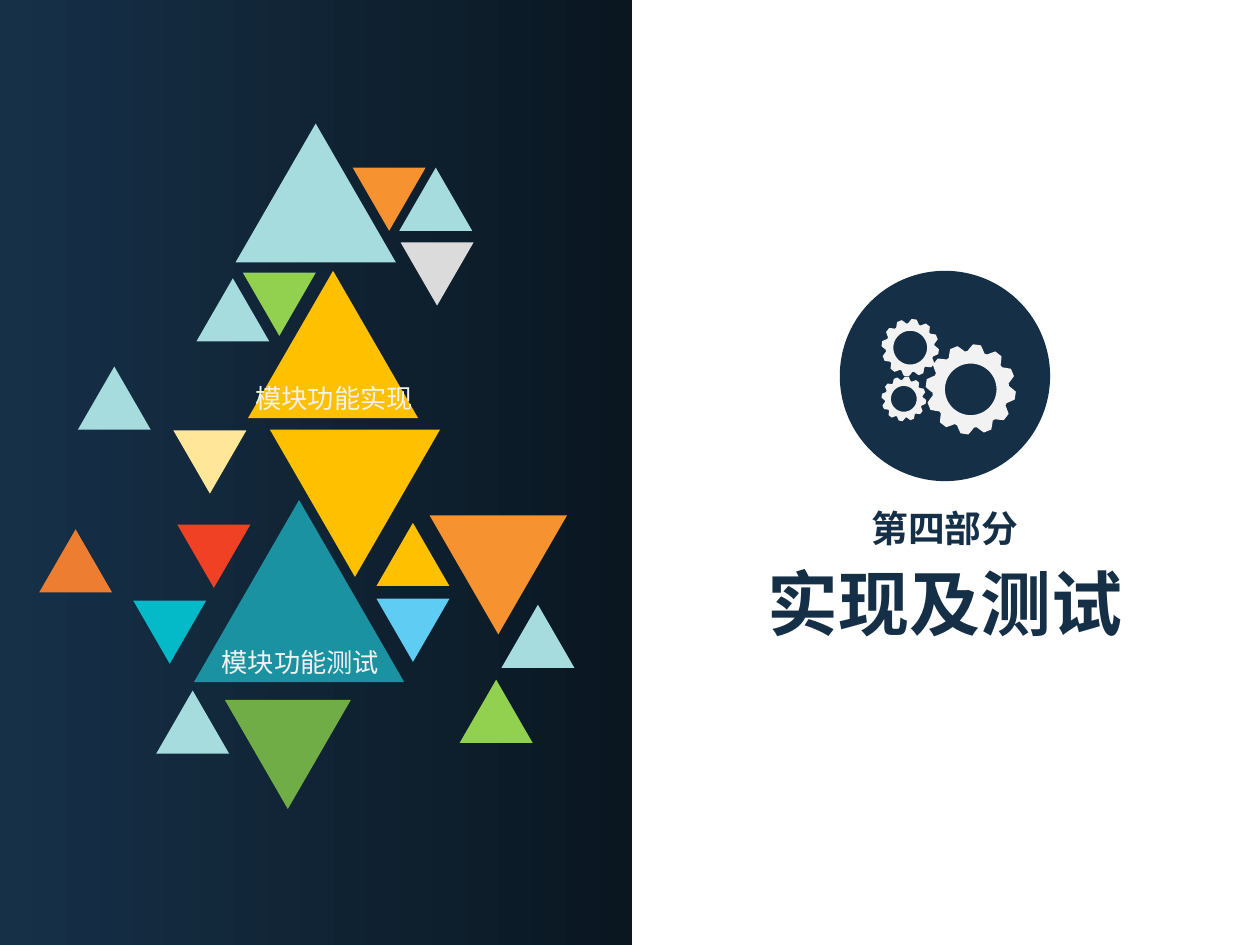
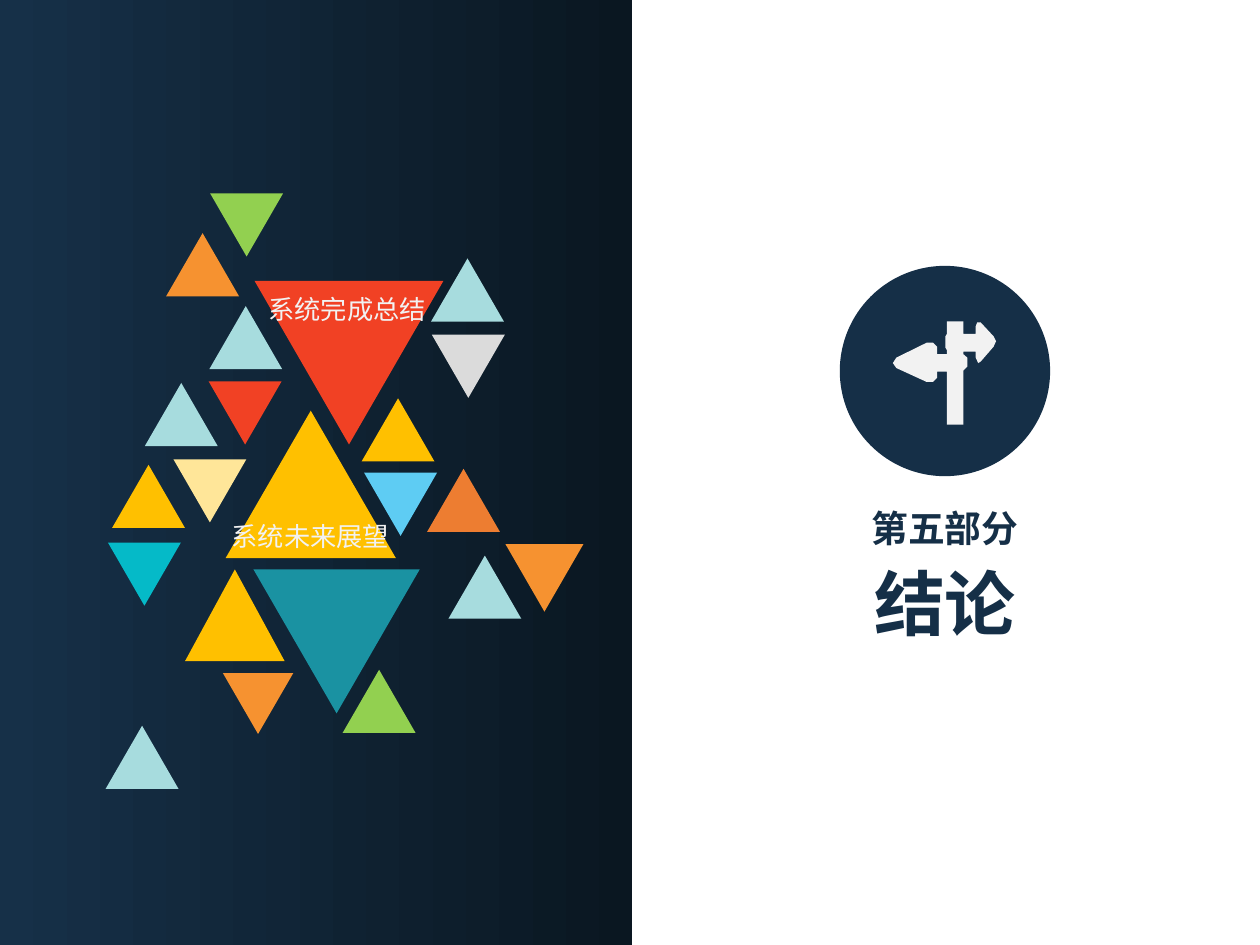
import math

import lxml.etree
import pptx
import pptx.dml.color
import pptx.enum.shapes
import pptx.enum.text
import pptx.oxml.ns
import pptx.util

Cm = pptx.util.Cm
Align = pptx.enum.text.PP_ALIGN
Shapes = pptx.enum.shapes.MSO_SHAPE

# Shared style
FONT = "Noto Sans CJK SC"
NAVY, NIGHT, DEEP = "152F47", "163048", "0A1721"
PALE, AQUA, TEAL, CYAN, SKY = "F2F2F2", "A7DCDE", "1A92A2", "05BAC8", "5ECCF3"
GOLD, CREAM, ORANGE, RUST, RED = "FFC000", "FFE699", "F69230", "ED7D31", "F14124"
LIME, GREEN, SILVER = "92D050", "70AD47", "DBDBDB"

# Boxes in cm: left, top, width, height
PANEL = (0, 0, 12.75, 19.05)
HEADING = (12.75, 0, 12.6, 19.05)
BADGE_SIZE = 4.24

# Triangle geometry
SMALL = 1.47
UP, DOWN, TILT_DOWN, TILT_UP = 0, 180, 60, 120

# Triangles: left, top, turn, colour, then side and height where they differ
TEST_TRIANGLES = [
    (1.57, 7.39, UP, AQUA), (8.05, 3.38, UP, AQUA),
    (3.68, 8.36, TILT_DOWN, CREAM), (5.44, 8.66, DOWN, GOLD, 3.43),
    (3.91, 10.08, UP, TEAL, 4.24), (3.15, 13.92, UP, AQUA),
    (0.79, 10.67, UP, RUST), (3.96, 5.61, UP, AQUA),
    (5.08, 5.18, TILT_DOWN, LIME), (8.26, 4.57, TILT_DOWN, SILVER),
    (2.87, 11.79, TILT_DOWN, CYAN), (8.66, 10.39, DOWN, ORANGE, 2.77),
    (7.59, 10.54, UP, GOLD), (7.59, 12.07, DOWN, SKY),
    (3.76, 10.26, TILT_DOWN, RED), (4.85, 13.56, TILT_DOWN, GREEN, 2.54),
    (10.11, 12.19, UP, AQUA), (5.0, 5.46, UP, GOLD, 3.43),
    (9.45, 14.02, TILT_UP, LIME), (4.75, 2.49, UP, AQUA, 3.23),
    (7.11, 3.38, DOWN, ORANGE),
]
TEST_TOPICS = [(4.9, 7.59, "模块功能实现"), (4.22, 12.9, "模块功能测试")]

CONCLUSION_TRIANGLES = [
    (2.92, 7.72, UP, AQUA), (8.69, 5.21, UP, AQUA),
    (3.68, 8.94, TILT_DOWN, CREAM), (4.55, 8.28, UP, GOLD, 3.43),
    (5.11, 11.48, DOWN, TEAL, 3.35), (2.13, 14.63, UP, AQUA),
    (8.61, 9.45, UP, RUST), (3.35, 4.7, UP, ORANGE),
    (4.22, 6.17, UP, AQUA), (4.42, 3.58, TILT_DOWN, LIME),
    (8.89, 6.43, TILT_DOWN, SILVER), (2.36, 10.62, TILT_DOWN, CYAN),
    (10.19, 10.97, DOWN, ORANGE, 1.57), (7.29, 8.03, UP, GOLD),
    (7.34, 9.53, DOWN, SKY), (4.39, 7.37, TILT_DOWN, RED),
    (4.67, 13.26, TILT_DOWN, ORANGE, 1.42), (9.04, 11.2, UP, AQUA),
    (5.13, 5.66, DOWN, RED, 3.81), (7.09, 13.82, TILT_UP, LIME),
    (2.26, 9.37, UP, GOLD), (3.73, 11.48, UP, GOLD, 2.01, 1.85),
]
CONCLUSION_TOPICS = [(4.42, 10.36, "系统未来展望"), (5.16, 5.79, "系统完成总结")]

# Gears inside the badge: centre x, centre y, outer radius, hole radius
GEARS = [(2.64, 2.39, 0.91, 0.52), (1.42, 1.55, 0.58, 0.34), (1.29, 2.58, 0.45, 0.26)]
TEETH = 12
TOOTH_PROFILE = [(-13, 0.85), (-9, 0.92), (-5, 1), (5, 1), (9, 0.92), (13, 0.85)]

# Signpost outline inside the badge, clockwise from the right arrow
SIGNPOST = [
    (3.15, 1.52), (3.1, 1.63), (2.84, 1.93), (2.79, 1.96), (2.74, 1.85),
    (2.74, 1.73), (2.49, 1.73), (2.49, 1.78), (2.57, 1.85), (2.57, 2.03),
    (2.49, 2.11), (2.49, 3.2), (2.16, 3.2), (2.16, 2.13), (1.96, 2.13),
    (1.96, 2.26), (1.88, 2.34), (1.75, 2.34), (1.14, 2.06), (1.07, 1.96),
    (1.14, 1.85), (1.75, 1.55), (1.88, 1.55), (1.96, 1.63), (1.96, 1.78),
    (2.16, 1.78), (2.16, 1.7), (2.13, 1.65), (2.13, 1.42), (2.16, 1.37),
    (2.16, 1.12), (2.49, 1.12), (2.49, 1.37), (2.74, 1.37), (2.74, 1.22),
    (2.77, 1.14), (2.84, 1.14), (3.1, 1.42),
]


def rgb(colour):
    return pptx.dml.color.RGBColor.from_string(colour)


def paint(shape, colour):
    shape.shadow.inherit = False
    shape.line.fill.background()
    shape.fill.solid()
    shape.fill.fore_color.rgb = rgb(colour)


def add_preset(slide, kind, left, top, width, height):
    return slide.shapes.add_shape(kind, Cm(left), Cm(top), Cm(width), Cm(height))


def add_outline(slide, box, contours, colour):
    left, top = box
    rings = [[(Cm(left + x), Cm(top + y)) for x, y in ring] for ring in contours]
    builder = slide.shapes.build_freeform(*rings[0][0])
    for ring in rings:
        if ring is not rings[0]:
            builder.move_to(*ring[0])
        builder.add_line_segments(ring[1:], close=True)
    paint(builder.convert_to_shape(), colour)


def write_line(holder, words, size, colour, bold, align):
    frame = holder.text_frame
    frame.text = words
    frame.word_wrap = False
    frame.auto_size = pptx.enum.text.MSO_AUTO_SIZE.SHAPE_TO_FIT_TEXT
    frame.vertical_anchor = pptx.enum.text.MSO_ANCHOR.TOP
    line = frame.paragraphs[0]
    line.alignment = align
    line.space_before = pptx.util.Pt(0)
    run = line.runs[0]
    run.font.size, run.font.bold = pptx.util.Pt(size), bold
    run.font.color.rgb = rgb(colour)
    run.font.name = FONT
    east_asian = lxml.etree.SubElement(
        run._r.get_or_add_rPr(), pptx.oxml.ns.qn("a:ea"))
    east_asian.set("typeface", FONT)


def line_width(words, size):
    """Width in cm of full-width characters plus both side margins."""
    return len(words) * size * 2.54 / 72 + 0.52


# Left panel: gradient, triangles and topic labels
def draw_panel(slide, box, triangles, topics):
    left, top, width, height = box
    backdrop = add_preset(slide, Shapes.RECTANGLE, left, top, width, height)
    paint(backdrop, NIGHT)
    backdrop.fill.gradient()
    backdrop.fill.gradient_angle = 0
    for stop, position, colour in zip(
            backdrop.fill.gradient_stops, (0, 1), (NIGHT, DEEP)):
        stop.position = position
        stop.color.rgb = rgb(colour)

    for x, y, turn, colour, *sizes in triangles:
        side = sizes[0] if sizes else SMALL
        rise = sizes[1] if len(sizes) > 1 else side * math.sqrt(3) / 2
        triangle = add_preset(slide, Shapes.ISOSCELES_TRIANGLE,
                              left + x, top + y, side, rise)
        triangle.rotation = turn
        paint(triangle, colour)

    for x, y, words in topics:
        topic = slide.shapes.add_textbox(
            Cm(left + x), Cm(top + y), Cm(line_width(words, 15)), Cm(0.89))
        write_line(topic, words, 15, PALE, False, Align.LEFT)


# Right half: part number, title and round badge
def draw_heading(slide, box, part, title, badge_top, draw_icon):
    left, top, width, _ = box
    middle = left + width / 2
    for holder, words, size, y, height in (
            (slide.shapes.title, title, 40.5, 11.15, 1.98),
            (slide.placeholders[1], part, 21, 10.06, 1.14)):
        span = line_width(words, size)
        holder.left, holder.top = Cm(middle - span / 2), Cm(top + y)
        holder.width, holder.height = Cm(span), Cm(height)
        write_line(holder, words, size, NAVY, True, Align.CENTER)

    corner = (middle - BADGE_SIZE / 2, top + badge_top)
    paint(add_preset(slide, Shapes.OVAL, *corner, BADGE_SIZE, BADGE_SIZE), NAVY)
    draw_icon(slide, corner)


def ring_points(x, y, polar):
    return [(x + r * math.cos(math.radians(a)), y + r * math.sin(math.radians(a)))
            for a, r in polar]


def draw_gears(slide, corner):
    for x, y, outer, hole in GEARS:
        rim = [(188 + tooth * 360 / TEETH + turn, outer * reach)
               for tooth in range(TEETH) for turn, reach in TOOTH_PROFILE]
        bore = [(angle, hole) for angle in range(360, 0, -6)]
        add_outline(slide, corner,
                    [ring_points(x, y, rim), ring_points(x, y, bore)], PALE)


def draw_signpost(slide, corner):
    add_outline(slide, corner, [SIGNPOST], PALE)


def add_section(deck, part, title, badge_top, draw_icon, triangles, topics):
    slide = deck.slides.add_slide(deck.slide_layouts[0])
    draw_panel(slide, PANEL, triangles, topics)
    draw_heading(slide, HEADING, part, title, badge_top, draw_icon)


def main():
    deck = pptx.Presentation()
    deck.slide_width, deck.slide_height = Cm(25.4), Cm(19.05)
    add_section(deck, "第四部分", "实现及测试", 5.46, draw_gears,
                TEST_TRIANGLES, TEST_TOPICS)
    add_section(deck, "第五部分", "结论", 5.36, draw_signpost,
                CONCLUSION_TRIANGLES, CONCLUSION_TOPICS)
    deck.save("out.pptx")


if __name__ == "__main__":
    main()
